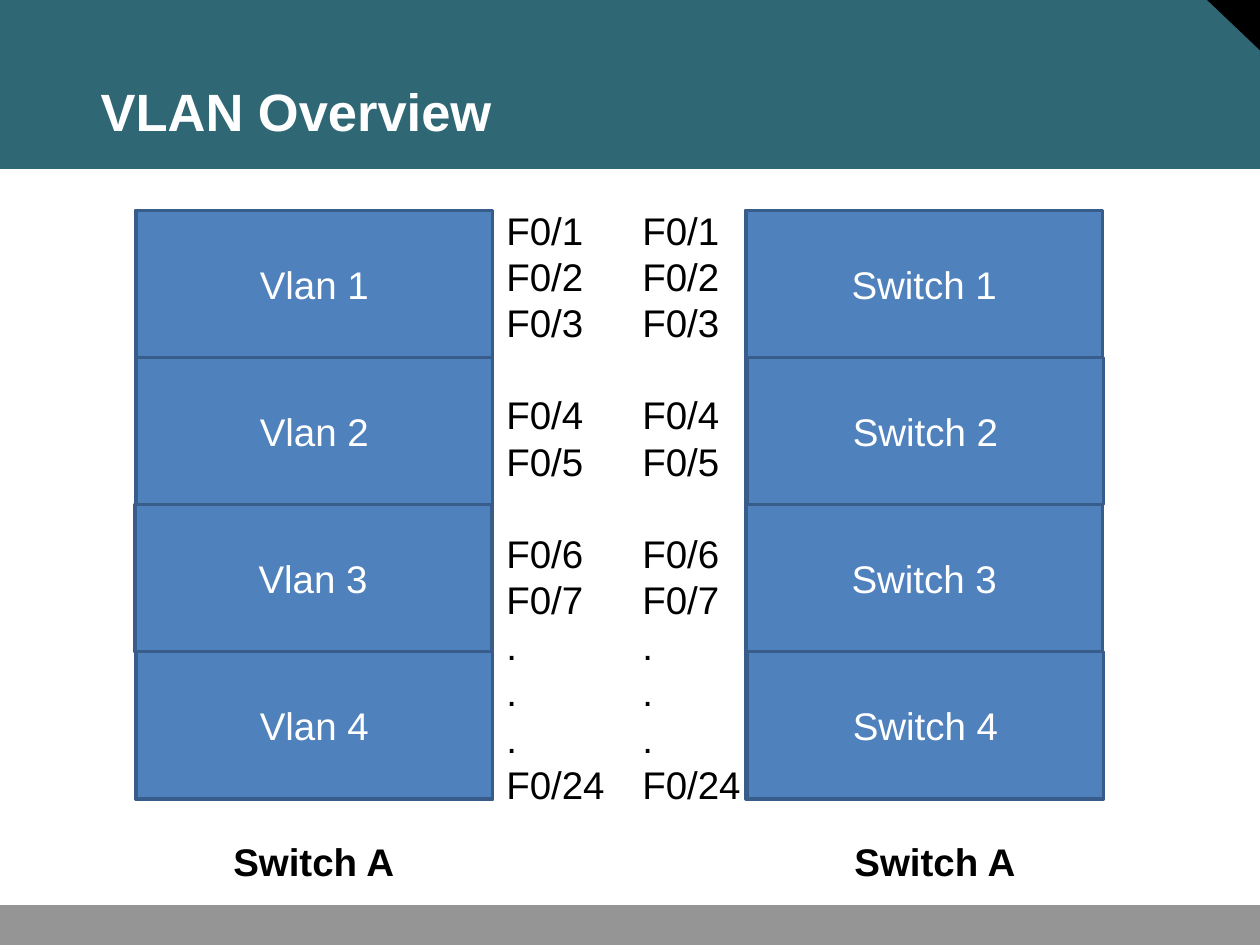
from pptx import Presentation
from pptx import util as u
from pptx.dml.color import RGBColor
from pptx.enum import shapes, text

HUES = {"teal": "2F6774", "black": "000000", "gray": "959595",
        "white": "FFFFFF", "blue": "4F81BD", "edge": "385D8A"}
PORTS = ["F0/1", "F0/2", "F0/3", "F0/4", "F0/5", "F0/6", "F0/7",
         ".\v.\v.\vF0/24"]


class Deck:
    font = "Arial"
    size = 22
    lead = 1.2

    def __init__(self, slide):
        self.slide = slide

    def hue(self, name):
        return RGBColor.from_string(HUES[name])

    def area(self, points, fill):
        """Filled outline without a border."""
        start, *rest = [(u.Inches(x), u.Inches(y)) for x, y in points]
        build = self.slide.shapes.build_freeform(*start)
        build.add_line_segments(rest, close=True)
        form = build.convert_to_shape()
        form.shadow.inherit = False
        form.fill.solid()
        form.fill.fore_color.rgb = self.hue(fill)
        form.line.fill.background()

    def fill_text(self, frame, words, hue, size=size, bold=False, center=True):
        """Text set with fixed line pitch."""
        frame.text = words
        for para in frame.paragraphs:
            para.alignment = text.PP_ALIGN.CENTER if center else text.PP_ALIGN.LEFT
            para.line_spacing = u.Pt(size * self.lead)
            for run in para.runs:
                run.font.name = self.font
                run.font.size = u.Pt(size)
                run.font.bold = bold
                run.font.color.rgb = self.hue(hue)

    def block(self, x, y, w, h, words=""):
        """Bordered box with a centred label."""
        box = self.slide.shapes.add_shape(
            shapes.MSO_SHAPE.RECTANGLE, *map(u.Inches, (x, y, w, h)))
        box.shadow.inherit = False
        box.fill.solid()
        box.fill.fore_color.rgb = self.hue("blue")
        box.line.color.rgb = self.hue("edge")
        box.line.width = u.Pt(2)
        if words:
            box.text_frame.vertical_anchor = text.MSO_ANCHOR.MIDDLE
            self.fill_text(box.text_frame, words, "white")

    def label(self, x, y, w, h, words, hue="black", pad=(0.1, 0.07), **style):
        """Free text on unwrapped lines; pad is the side and top inset."""
        frame = self.slide.shapes.add_textbox(
            *map(u.Inches, (x, y, w, h))).text_frame
        frame.word_wrap = style.get("center", True) and pad[0] > 0
        frame.margin_left = frame.margin_right = u.Inches(pad[0])
        frame.margin_top = u.Inches(pad[1])
        frame.margin_bottom = 0
        self.fill_text(frame, words, hue, **style)
        return frame

    def stack(self, x, name, shifts):
        """Four blocks, one above the other, on a full-height panel."""
        top, wide, tall = 1.67, 2.83, 4.67
        step = tall / len(shifts)
        self.block(x, top, wide, tall)
        for i, shift in enumerate(shifts):
            self.block(x + shift, top + i * step, wide, step, f"{name} {i + 1}")

    def ports(self, x):
        """Port list with a free line after each group."""
        frame = self.label(x, 1.57, 1.08, 4.87, "\n".join(PORTS), center=False)
        for para in frame.paragraphs:
            if para.text in ("F0/3", "F0/5"):
                para.space_after = u.Pt(self.size * self.lead)


def main():
    prs = Presentation()
    prs.slide_width, prs.slide_height = u.Inches(10), u.Inches(7.5)
    deck = Deck(prs.slides.add_slide(prs.slide_layouts[6]))

    # Header, corner and footer
    deck.area([(0, 0), (10, 0), (10, 1.34), (0, 1.34)], "teal")
    deck.area([(9.58, 0), (10, 0), (10, 0.4)], "black")
    deck.area([(0, 7.18), (10, 7.18), (10, 7.5), (0, 7.5)], "gray")
    deck.label(0.79, 0.6, 3.12, 0.53, "VLAN Overview", "white",
               pad=(0, 0.03), size=30, bold=True)

    # Both switches
    deck.stack(1.08, "Vlan", (0, 0, -0.01, 0))
    deck.stack(5.92, "Switch", (0, 0.01, 0, 0.01))
    for x in (1.08, 6.01):
        deck.label(x, 6.58, 2.82, 0.47, "Switch A", bold=True)

    # Port lists
    for x in (3.92, 5):
        deck.ports(x)

    prs.save("out.pptx")


if __name__ == "__main__":
    main()
